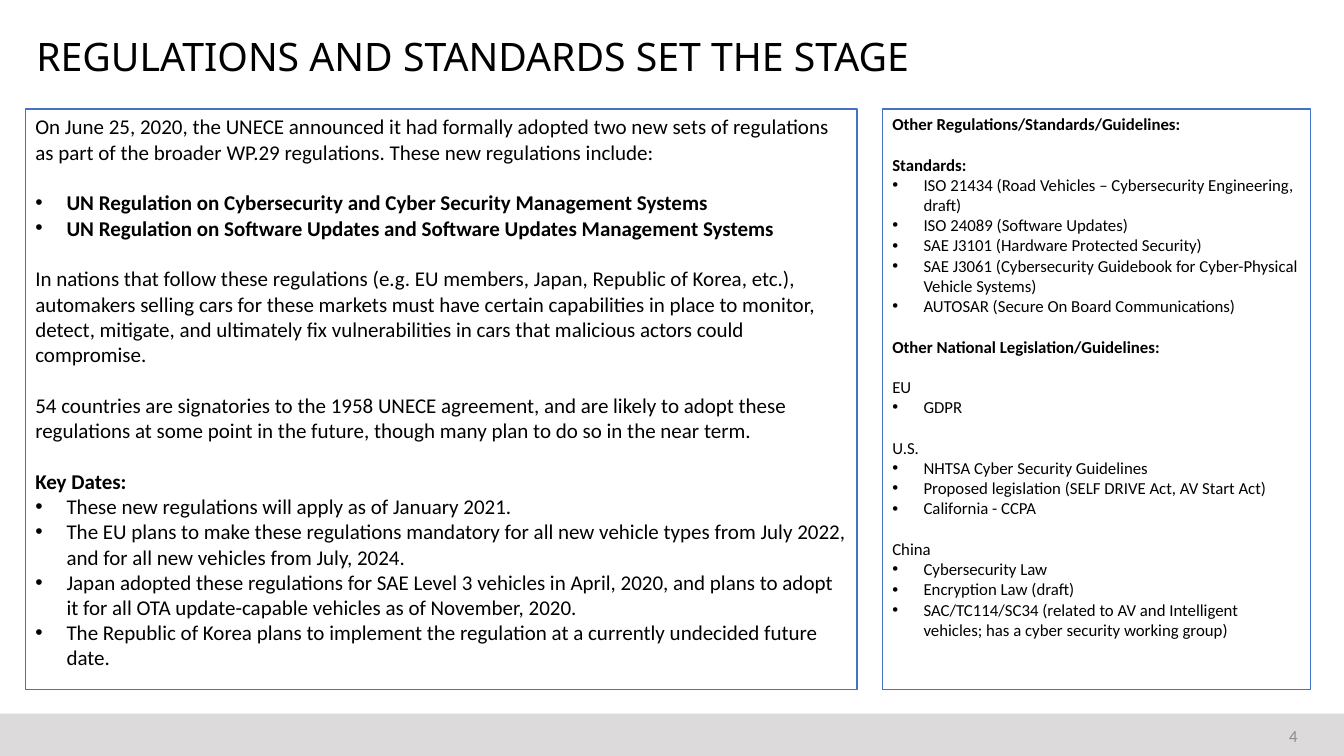
import pptx
import pptx.util
import pptx.dml.color
import pptx.enum.shapes
import pptx.enum.text
import pptx.oxml.ns
import lxml.etree

Inches = pptx.util.Inches
Pt = pptx.util.Pt
ALIGN = pptx.enum.text.PP_ALIGN
MIDDLE = pptx.enum.text.MSO_ANCHOR.MIDDLE
LINE_HEIGHT = 1.22  # height of a Calibri line relative to its size
BULLET_INDENT = Inches(0.31)

# Each group is set off by one line of space: (kind, text) rows
UNECE_GROUPS = [
    [("plain", "On June 25, 2020, the UNECE announced it had formally adopted two new sets of "
               "regulations as part of the broader WP.29 regulations. These new regulations include:")],
    [("bold bullet", "UN Regulation on Cybersecurity and Cyber Security Management Systems"),
     ("bold bullet", "UN Regulation on Software Updates and Software Updates Management Systems")],
    [("plain", "In nations that follow these regulations (e.g. EU members, Japan, Republic of Korea, "
               "etc.), automakers selling cars for these markets must have certain capabilities in "
               "place to monitor, detect, mitigate, and ultimately fix vulnerabilities in cars that "
               "malicious actors could compromise.")],
    [("plain", "54 countries are signatories to the 1958 UNECE agreement, and are likely to adopt "
               "these regulations at some point in the future, though many plan to do so in the "
               "near term.")],
    [("bold", "Key Dates:"),
     ("bullet", "These new regulations will apply as of January 2021."),
     ("bullet", "The EU plans to make these regulations mandatory for all new vehicle types from "
                "July 2022, and for all new vehicles from July, 2024."),
     ("bullet", "Japan adopted these regulations for SAE Level 3 vehicles in April, 2020, and plans "
                "to adopt it for all OTA update-capable vehicles as of November, 2020."),
     ("bullet", "The Republic of Korea plans to implement the regulation at a currently undecided "
                "future date.")],
]
OTHER_GROUPS = [
    [("bold", "Other Regulations/Standards/Guidelines:")],
    [("bold", "Standards:"),
     ("bullet", "ISO 21434 (Road Vehicles – Cybersecurity Engineering, draft)"),
     ("bullet", "ISO 24089 (Software Updates)"),
     ("bullet", "SAE J3101 (Hardware Protected Security)"),
     ("bullet", "SAE J3061 (Cybersecurity Guidebook for Cyber-Physical Vehicle Systems)"),
     ("bullet", "AUTOSAR (Secure On Board Communications)")],
    [("bold", "Other National Legislation/Guidelines:")],
    [("plain", "EU"),
     ("bullet", "GDPR")],
    [("plain", "U.S."),
     ("bullet", "NHTSA Cyber Security Guidelines"),
     ("bullet", "Proposed legislation (SELF DRIVE Act, AV Start Act)"),
     ("bullet", "California - CCPA")],
    [("plain", "China"),
     ("bullet", "Cybersecurity Law"),
     ("bullet", "Encryption Law (draft)"),
     ("bullet", "SAC/TC114/SC34 (related to AV and Intelligent vehicles; has a cyber security "
                "working group)")],
]


def color(hex_string):
    return pptx.dml.color.RGBColor.from_string(hex_string)


def place(box, left, top, width, height):
    box.left, box.top = Inches(left), Inches(top)
    box.width, box.height = Inches(width), Inches(height)


def set_frame(box, anchor):
    frame = box.text_frame
    frame.word_wrap = True
    frame.auto_size = pptx.enum.text.MSO_AUTO_SIZE.NONE
    frame.vertical_anchor = anchor
    return frame


def add_span(para, text, size, font="Calibri", ink="000000", bold=False):
    span = para.add_run()
    span.text = text
    span.font.size = Pt(size)
    span.font.name = font
    span.font.bold = bold
    span.font.color.rgb = color(ink)


def set_bullet(para, bulleted):
    """Give the paragraph a hanging bullet, or switch the template's bullet off."""
    properties = para._p.get_or_add_pPr()
    indent = BULLET_INDENT if bulleted else 0
    properties.set("marL", str(indent))
    properties.set("indent", str(-indent))
    qn = pptx.oxml.ns.qn
    if bulleted:
        lxml.etree.SubElement(properties, qn("a:buFont")).set("typeface", "Arial")
        lxml.etree.SubElement(properties, qn("a:buChar")).set("char", "•")
    else:
        lxml.etree.SubElement(properties, qn("a:buNone"))


def fill_title(box, text):
    place(box, 0.26, 0.23, 12.7, 0.71)
    para = set_frame(box, MIDDLE).paragraphs[0]
    para.alignment = ALIGN.LEFT
    para.line_spacing = 0.9
    add_span(para, text, 28, "Noto Sans")


def fill_panel(box, left, width, size, groups):
    place(box, left, 1.08, width, 5.76)
    box.fill.solid()
    box.fill.fore_color.rgb = color("FFFFFF")
    box.line.color.rgb = color("4472C4")
    box.line.width = Pt(1)
    frame = set_frame(box, pptx.enum.text.MSO_ANCHOR.TOP)
    para = frame.paragraphs[0]
    for group_index, group in enumerate(groups):
        for row_index, (kind, text) in enumerate(group):
            opens_group = group_index > 0 and row_index == 0
            if group_index or row_index:
                para = frame.add_paragraph()
            para.space_before = Pt(size * LINE_HEIGHT if opens_group else 0)
            set_bullet(para, "bullet" in kind)
            add_span(para, text, size, bold="bold" in kind)


def add_footer(page, number):
    band = page.shapes.add_shape(pptx.enum.shapes.MSO_SHAPE.RECTANGLE,
                                 Inches(0), Inches(7.08), Inches(13.33), Inches(0.42))
    band.shadow.inherit = False
    band.fill.solid()
    band.fill.fore_color.rgb = color("DCDADA")
    band.line.fill.background()

    box = page.shapes.add_textbox(Inches(9.97), Inches(7.1), Inches(3), Inches(0.4))
    para = set_frame(box, MIDDLE).paragraphs[0]
    para.alignment = ALIGN.RIGHT
    add_span(para, number, 12, ink="8C8C8C")


def main():
    deck = pptx.Presentation()
    deck.slide_width, deck.slide_height = Inches(13.33), Inches(7.5)
    page = deck.slides.add_slide(deck.slide_layouts.get_by_name("Two Content"))

    # Title and the two text panels
    title, unece_panel, other_panel = page.placeholders
    fill_title(title, "REGULATIONS AND STANDARDS SET THE STAGE")
    fill_panel(unece_panel, 0.25, 8.25, 15, UNECE_GROUPS)
    fill_panel(other_panel, 8.75, 4.25, 12, OTHER_GROUPS)

    # Footer band with the page number
    add_footer(page, "4")
    deck.save("out.pptx")


if __name__ == "__main__":
    main()
